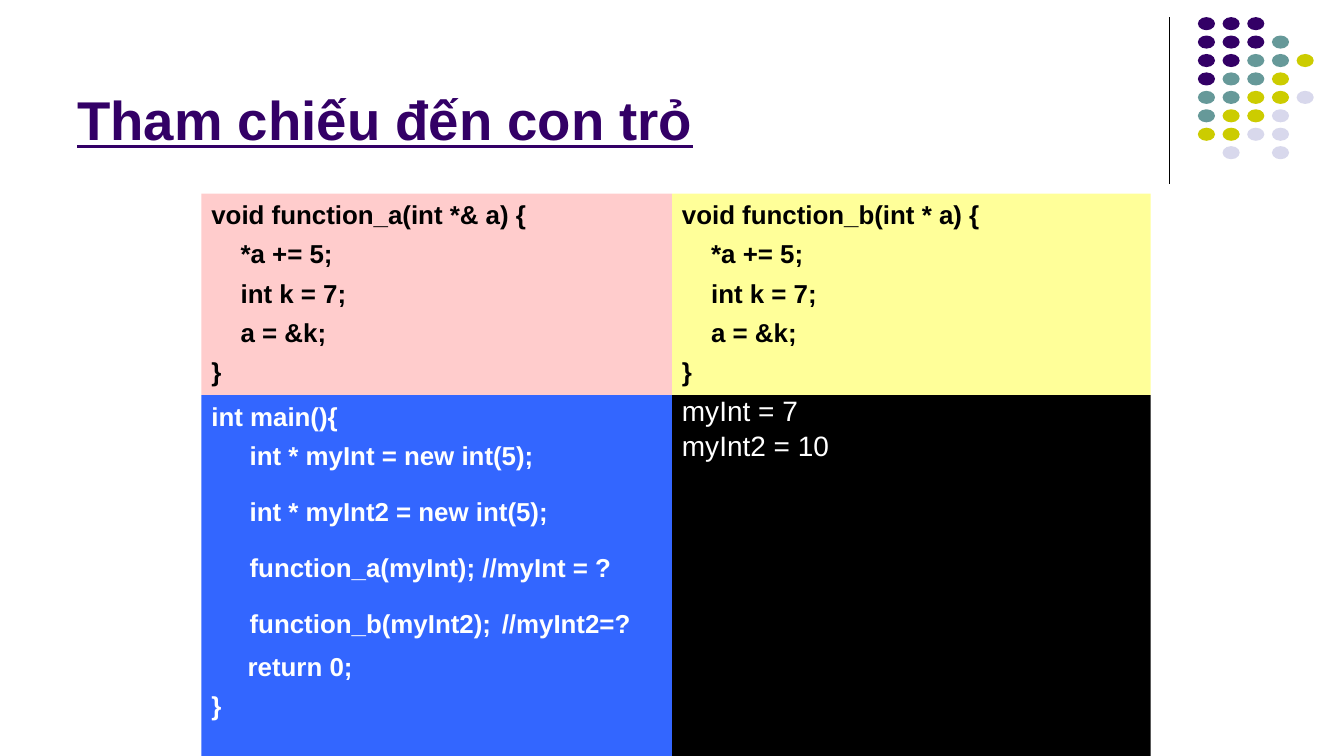
from lxml import etree
from pptx import Presentation
from pptx.dml.color import RGBColor
from pptx.enum.shapes import MSO_CONNECTOR, MSO_SHAPE
from pptx.enum.text import MSO_ANCHOR, PP_ALIGN
from pptx.oxml.ns import qn
from pptx.util import Inches, Pt

STRAIGHT = MSO_CONNECTOR.STRAIGHT
RECTANGLE, OVAL = MSO_SHAPE.RECTANGLE, MSO_SHAPE.OVAL
TOP, BOTTOM = MSO_ANCHOR.TOP, MSO_ANCHOR.BOTTOM
LEFT = PP_ALIGN.LEFT

DOT_COLORS = {"P": "330066", "T": "669999", "Y": "CCCC00", "L": "D8D8EC"}
DOT_ROWS = ["PPP", "PPPT", "PPTTY", "PTTY", "TTYYL", "TYYL", "YYLL", ".L.L"]

CODE = {"size": Pt(18.5), "bold": True}
OUTPUT = {"size": Pt(20), "bold": False}
HEADING = {"size": Pt(39), "bold": True, "underline": True}
WIDE_GAP = {"size": Pt(27.8), "bold": False}

BODY_LINES = ["*a += 5;", "int k = 7;", "a = &k;"]
MAIN_LINES = [
    (0, 5.9, ["int main(){"]),
    (0.38, 5.9, ["int * myInt = new int(5);"]),
    (0.38, 18, ["int * myInt2 = new int(5);"]),
    (0.38, 17.3, ["function_a(myInt); //myInt = ?"]),
    (0.38, 8.8, ["function_b(myInt2);", " ", "//myInt2=?"]),
    (0.36, 6.7, ["return 0;"]),
    (0, 5.9, ["}"]),
]
OUTPUT_LINES = [(0, 5.9, ["myInt = 7"]), (0, 5.9, ["myInt2 = 10"])]


def color(value):
    return RGBColor.from_string(value)


def function_lines(signature):
    body = [(0.29, 5.9, [text]) for text in BODY_LINES]
    return [(0, 5.9, [signature]), *body, (0, 5.9, ["}"])]


def add_filled(page, kind, place, fill):
    shape = page.shapes.add_shape(kind, *map(Inches, place))
    shape.shadow.inherit = False
    shape.fill.solid()
    shape.fill.fore_color.rgb = color(fill)
    shape.line.fill.background()
    return shape


def add_span(para, text, ink, formats):
    span = para.add_run()
    span.text = text
    span.font.name = "Arial"
    span.font.color.rgb = color(ink)
    for name, value in formats.items():
        setattr(span.font, name, value)


def write_lines(box, lines, ink, formats, spacing=1.0, anchor=TOP):
    frame = box.text_frame
    frame.word_wrap = True
    frame.vertical_anchor = anchor
    for number, (indent, before, texts) in enumerate(lines):
        para = frame.add_paragraph() if number else frame.paragraphs[0]
        para.alignment = LEFT
        para.line_spacing = spacing
        para.space_before = Pt(before)
        para._p.get_or_add_pPr().set("marL", str(Inches(indent)))
        for text in texts:
            add_span(para, text, ink, WIDE_GAP if text == " " else formats)


def add_panel(page, place, fill, lines, ink, formats, spacing=1.0):
    panel = add_filled(page, RECTANGLE, place, fill)
    write_lines(panel, lines, ink, formats, spacing)


def add_rule(page):
    rule = page.shapes.add_connector(
        STRAIGHT, Inches(11.61), Inches(0.17), Inches(11.61), Inches(1.83))
    rule.line.color.rgb = color("000000")
    rule.line.width = Pt(0.75)
    etree.SubElement(rule._element.spPr, qn("a:effectLst"))


def add_dots(page):
    for row, letters in enumerate(DOT_ROWS):
        for column, letter in enumerate(letters):
            if letter in DOT_COLORS:
                place = (11.89 + 0.98 * column / 4, 0.17 + 1.28 * row / 7, 0.17, 0.13)
                add_filled(page, OVAL, place, DOT_COLORS[letter])


def add_title(page, text):
    box = page.shapes.add_textbox(*map(Inches, (0.67, 0.13, 11, 1.42)))
    write_lines(box, [(0, 0, [text])], "330066", HEADING, anchor=BOTTOM)


def main():
    deck = Presentation()
    deck.slide_width, deck.slide_height = Inches(13.34), Inches(7.5)
    page = deck.slides.add_slide(deck.slide_layouts[6])
    add_rule(page)
    add_dots(page)
    add_title(page, "Tham chiếu đến con trỏ")
    add_panel(page, (2, 1.92, 4.67, 2), "FFCCCC",
              function_lines("void function_a(int *& a) {"), "000000", CODE)
    add_panel(page, (6.67, 1.92, 4.75, 2), "FFFF99",
              function_lines("void function_b(int * a) {"), "000000", CODE)
    add_panel(page, (2, 3.92, 4.67, 3.58), "3366FF", MAIN_LINES, "FFFFFF", CODE)
    add_panel(page, (6.67, 3.92, 4.75, 3.58), "000000",
              OUTPUT_LINES, "FFFFFF", OUTPUT, 0.8)
    deck.save("out.pptx")


if __name__ == "__main__":
    main()
